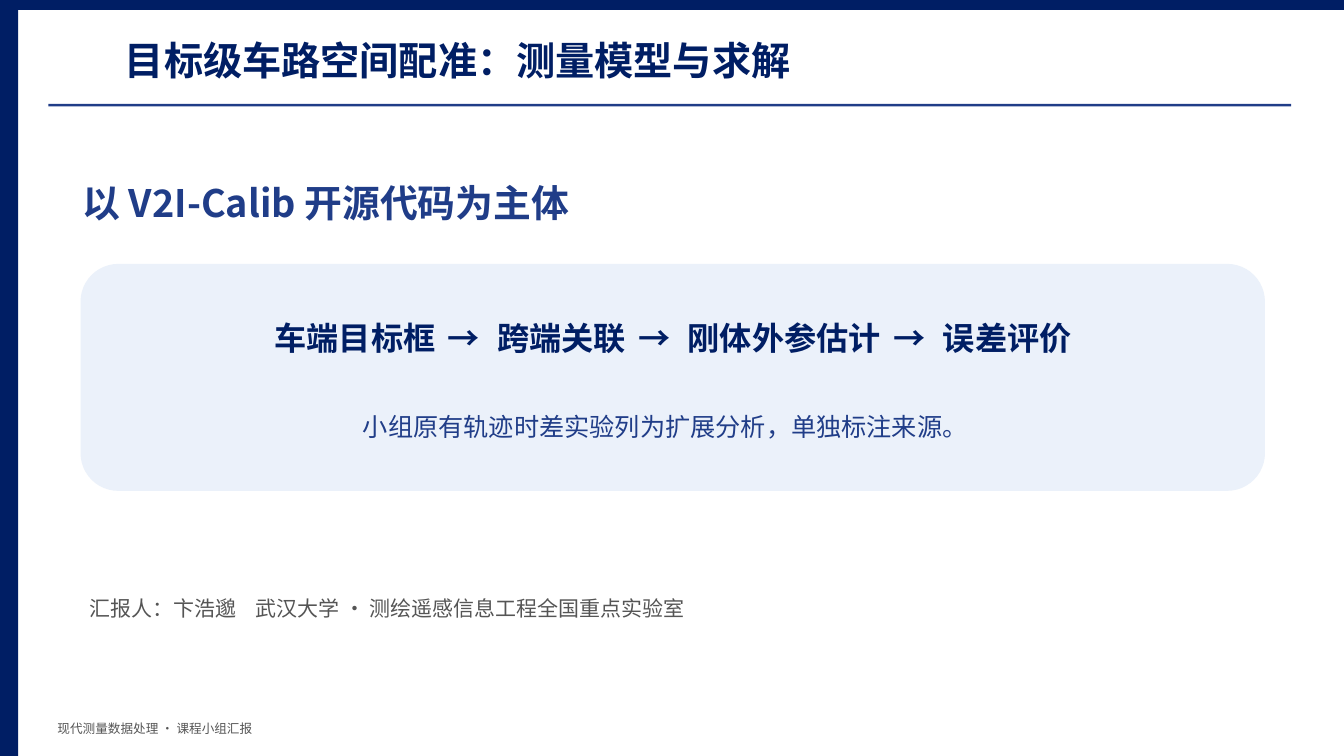
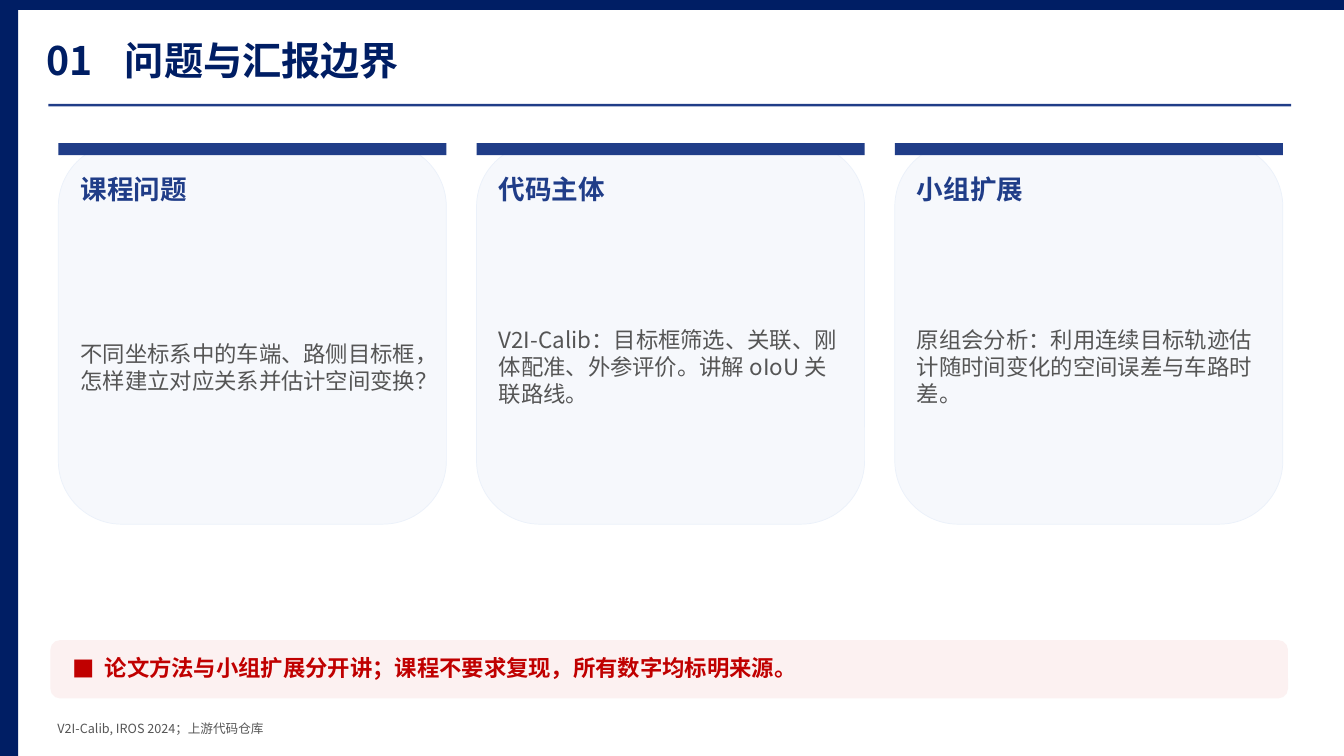
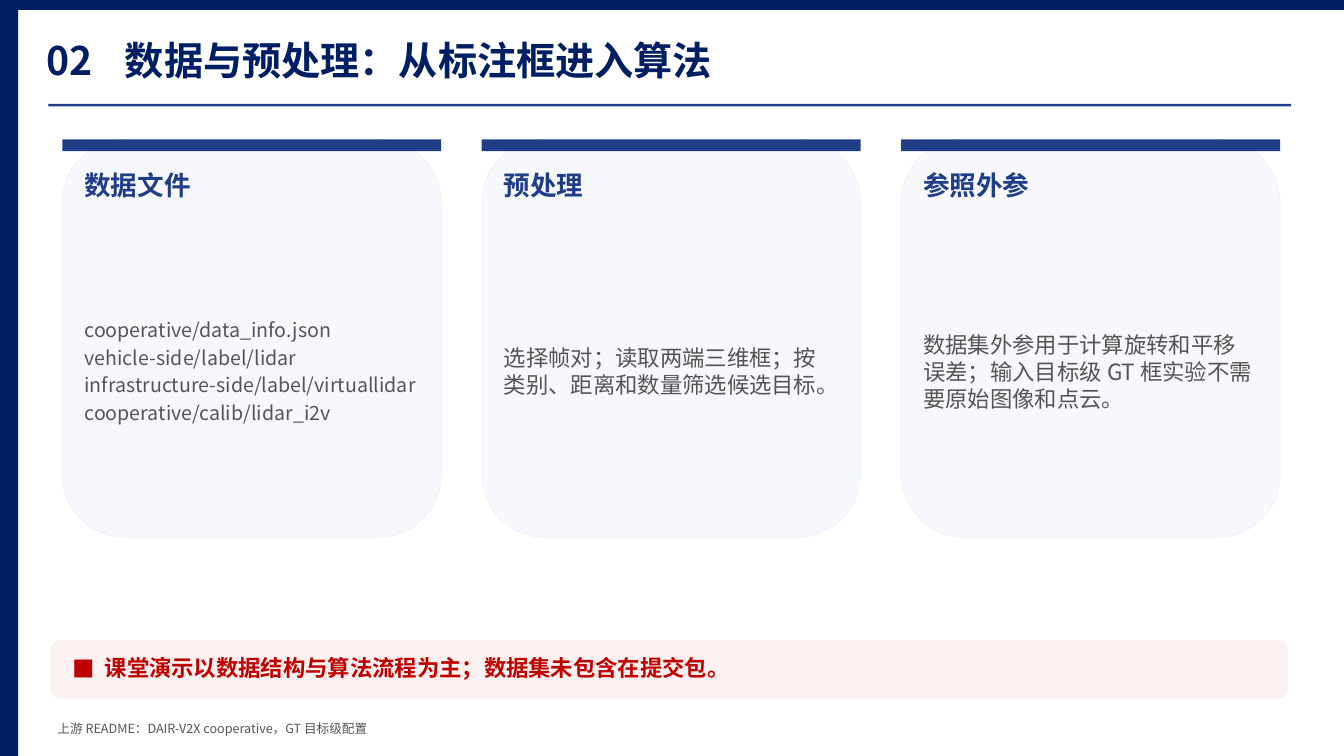
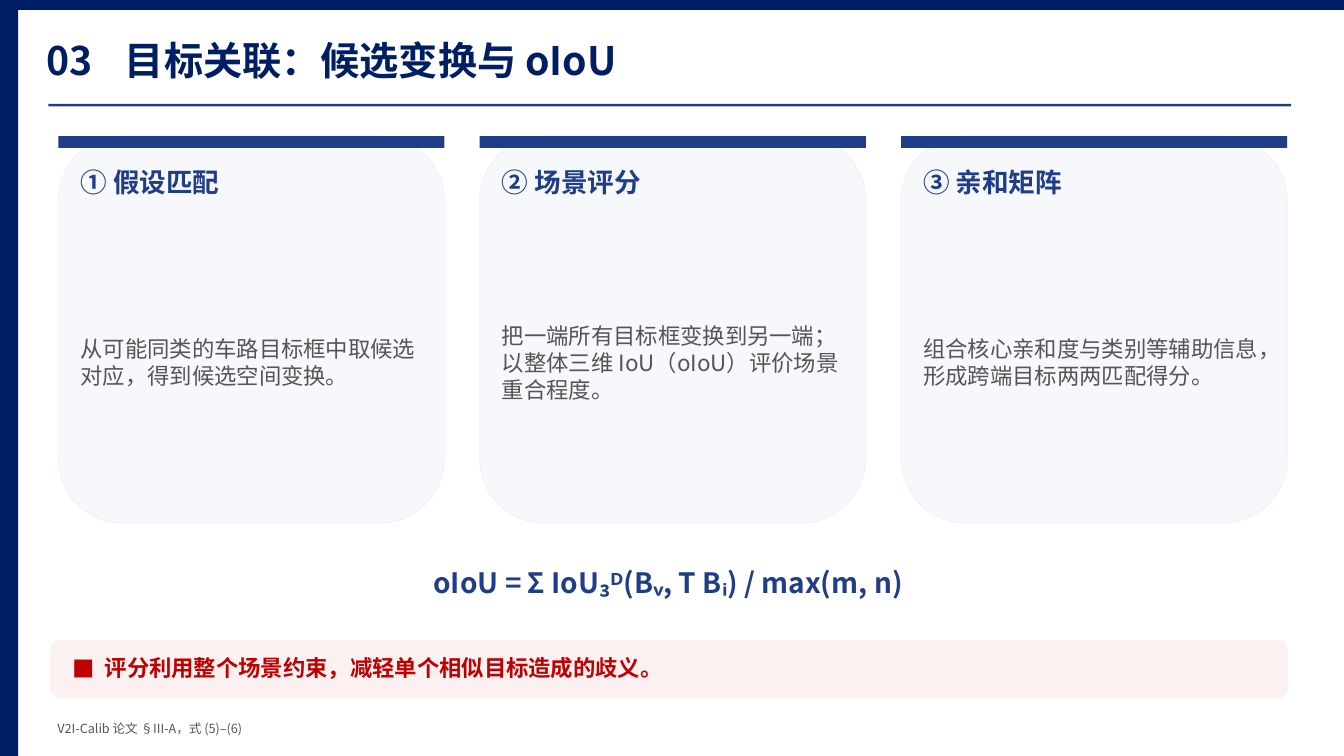
from pptx import Presentation
from pptx.dml.color import RGBColor
from pptx.enum.shapes import MSO_SHAPE as Shape
from pptx.enum.text import MSO_ANCHOR as Anchor, MSO_AUTO_SIZE as AutoSize, PP_ALIGN as Align
from pptx.oxml import parse_xml
from pptx.oxml.ns import nsdecls
from pptx.util import Cm, Pt

FONT = "Noto Sans CJK SC"
NAVY, BLUE, GREY, RED = "001E64", "203D88", "555555", "C00000"
PALE_BLUE, CARD_FILL, PALE_RED = "EBF1FA", "F6F8FC", "FCF1F1"

# Paragraph marks: a hanging square bullet and one tab stop
SQUARE_BULLET = [f'<a:buFont {nsdecls("a")} typeface="{FONT}"/>',
                 f'<a:buChar {nsdecls("a")} char="■"/>']
SPEAKER_TAB = [f'<a:tabLst {nsdecls("a")}><a:tab pos="{Cm(4.18)}" algn="l"/></a:tabLst>']


def add_panel(page, kind, area, fill, outline=None):
    """Draw a flat filled shape; area is left, top, width, height in cm."""
    panel = page.shapes.add_shape(kind, *map(Cm, area))
    panel.shadow.inherit = False
    panel.fill.solid()
    panel.fill.fore_color.rgb = RGBColor.from_string(fill)
    if outline:
        panel.line.color.rgb = RGBColor.from_string(outline)
        panel.line.width = Pt(0.5)
    else:
        panel.line.fill.background()
    return panel


def write(page, area, text, size, colour, bold=False, align=Align.LEFT, box=None, marks=()):
    """Write text, one paragraph a line, in a new text box or in the given one."""
    box = box or page.shapes.add_textbox(0, 0, 0, 0)
    box.left, box.top, box.width, box.height = map(Cm, area)
    frame = box.text_frame
    frame.text = text
    frame.word_wrap = True
    frame.auto_size = AutoSize.SHAPE_TO_FIT_TEXT
    frame.vertical_anchor = Anchor.MIDDLE
    frame.margin_left = frame.margin_right = frame.margin_top = frame.margin_bottom = Cm(0.1)
    for para in frame.paragraphs:
        para.alignment = align
        para.space_after = Pt(3)
        properties = para._p.get_or_add_pPr()
        for mark in marks:
            properties.append(parse_xml(mark))
        font = para.font
        font.name, font.size, font.bold = FONT, Pt(size), bold
        font.color.rgb = RGBColor.from_string(colour)
        font._element.append(parse_xml(f'<a:ea {nsdecls("a")} typeface="{FONT}"/>'))
    return frame.paragraphs[0]


deck = Presentation()
deck.slide_width, deck.slide_height = Cm(33.87), Cm(19.05)

# Cards are given by left, top, width, height of the first one and the pitch
slides = [
    {"title": "目标级车路空间配准：测量模型与求解",
     "footer": "现代测量数据处理 · 课程小组汇报"},
    {"number": "01", "title": "问题与汇报边界",
     "footer": "V2I-Calib, IROS 2024；上游代码仓库",
     "grid": (1.47, 3.61, 9.78, 9.6, 10.54),
     "cards": [
         ("课程问题", "不同坐标系中的车端、路侧目标框，怎样建立对应关系并估计空间变换？", 16),
         ("代码主体", "V2I-Calib：目标框筛选、关联、刚体配准、外参评价。讲解 oIoU 关联路线。", 16),
         ("小组扩展", "原组会分析：利用连续目标轨迹估计随时间变化的空间误差与车路时差。", 16)],
     "takeaway": "论文方法与小组扩展分开讲；课程不要求复现，所有数字均标明来源。"},
    {"number": "02", "title": "数据与预处理：从标注框进入算法",
     "footer": "上游 README：DAIR-V2X cooperative，GT 目标级配置",
     "grid": (1.57, 3.51, 9.55, 10.03, 10.57),
     "cards": [
         ("数据文件", "cooperative/data_info.json\nvehicle-side/label/lidar\n"
                  "infrastructure-side/label/virtuallidar\ncooperative/calib/lidar_i2v", 14),
         ("预处理", "选择帧对；读取两端三维框；按类别、距离和数量筛选候选目标。", 16),
         ("参照外参", "数据集外参用于计算旋转和平移误差；输入目标级 GT 框实验不需要原始图像和点云。", 16)],
     "takeaway": "课堂演示以数据结构与算法流程为主；数据集未包含在提交包。"},
    {"number": "03", "title": "目标关联：候选变换与 oIoU",
     "footer": "V2I-Calib 论文 §III-A，式 (5)–(6)",
     "grid": (1.47, 3.43, 9.73, 9.75, 10.62),
     "cards": [
         ("① 假设匹配", "从可能同类的车路目标框中取候选对应，得到候选空间变换。", 16),
         ("② 场景评分", "把一端所有目标框变换到另一端；以整体三维 IoU（oIoU）评价场景重合程度。", 16),
         ("③ 亲和矩阵", "组合核心亲和度与类别等辅助信息，形成跨端目标两两匹配得分。", 16)],
     "formula": "oIoU = Σ IoU₃ᴰ(Bᵥ, T Bᵢ) / max(m, n)",
     "takeaway": "评分利用整个场景约束，减轻单个相似目标造成的歧义。"},
]

for content in slides:
    page = deck.slides.add_slide(deck.slide_layouts[5])

    # Bands, title, rule and footer
    add_panel(page, Shape.RECTANGLE, (0, 0, 0.46, 19.05), NAVY)
    add_panel(page, Shape.RECTANGLE, (0.46, 0, 33.41, 0.25), NAVY)
    if "number" in content:
        write(page, (1.07, 0.81, 1.83, 1.4), content["number"], 28, NAVY, True)
    write(page, (3.05, 0.76, 29.08, 1.47), content["title"], 28, NAVY, True, box=page.shapes.title)
    add_panel(page, Shape.RECTANGLE, (1.22, 2.62, 31.32, 0.06), BLUE)
    write(page, (1.35, 18.08, 30.23, 0.56), content["footer"], 9, GREY)

    # Row of cards
    for index, (heading, body, size) in enumerate(content.get("cards", [])):
        left, top, width, height, pitch = content["grid"]
        left += index * pitch
        add_panel(page, Shape.ROUNDED_RECTANGLE, (left, top, width, height), CARD_FILL, PALE_BLUE)
        add_panel(page, Shape.RECTANGLE, (left, top, width, 0.3), BLUE)
        write(page, (left + 0.46, top + 0.61, width - 0.92, 1.07), heading, 19, BLUE, True)
        write(page, (left + 0.46, top + 1.96, width - 0.92, height - 2.26), body, size, GREY)

    if "formula" in content:
        write(page, (2.87, 14.12, 27.94, 1.09), content["formula"], 20, BLUE, True, Align.CENTER)

    # Takeaway strip
    if "takeaway" in content:
        add_panel(page, Shape.ROUNDED_RECTANGLE, (1.27, 16.13, 31.19, 1.47), PALE_RED)
        para = write(page, (1.73, 16.33, 30.35, 0.99), content["takeaway"], 16, RED, True,
                     marks=SQUARE_BULLET)
        properties = para._p.get_or_add_pPr()
        properties.set("marL", str(Cm(0.81)))
        properties.set("indent", str(-Cm(0.81)))

# Opening slide: subject, workflow panel and speaker
opening = deck.slides[0]
write(opening, (1.98, 4.19, 29.97, 1.83), "以 V2I-Calib 开源代码为主体", 27, BLUE, True)
add_panel(opening, Shape.ROUNDED_RECTANGLE, (2.03, 6.65, 29.85, 5.72), PALE_BLUE)
first_step, *next_steps = ["车端目标框", "跨端关联", "刚体外参估计", "误差评价"]
workflow = write(opening, (2.74, 7.7, 28.45, 1.63), first_step, 23, NAVY, True, Align.CENTER)
for step in next_steps:
    arrow = workflow.add_run()
    arrow.text = " → "
    arrow._r.get_or_add_rPr().set("spc", "350")
    workflow.add_run().text = step
write(opening, (2.92, 10.21, 27.69, 1.07), "小组原有轨迹时差实验列为扩展分析，单独标注来源。",
      18, BLUE, align=Align.CENTER)
write(opening, (2.16, 14.81, 29.72, 1.02),
      "汇报人：卞浩邈\t武汉大学 · 测绘遥感信息工程全国重点实验室", 15, GREY, marks=SPEAKER_TAB)

deck.save("out.pptx")
